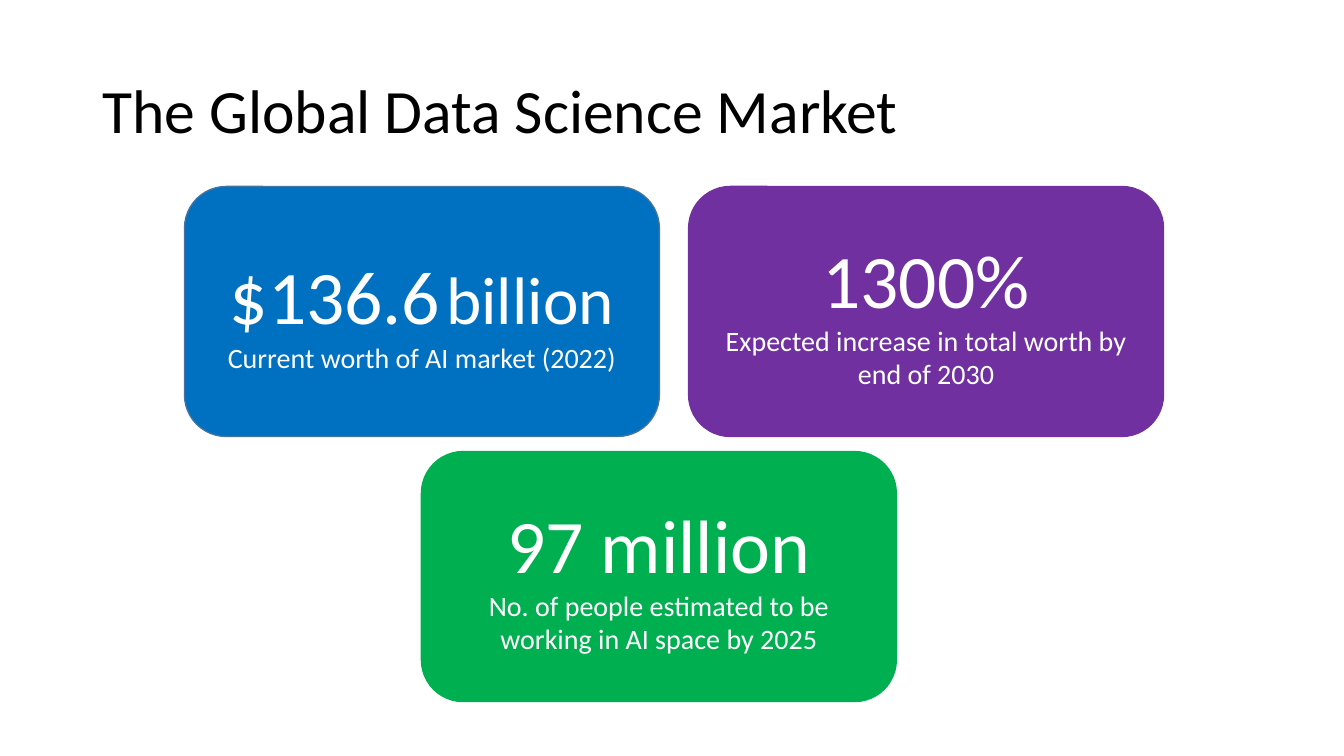
"""Build the slide on the global data science market with three figure cards."""
from dataclasses import dataclass

import pptx
import pptx.dml.color
import pptx.enum.shapes
import pptx.enum.text
import pptx.shapes.autoshape
import pptx.slide
import pptx.text.text
import pptx.util

Inches = pptx.util.Inches
RGBColor = pptx.dml.color.RGBColor

BLACK = RGBColor(0x00, 0x00, 0x00)
WHITE = RGBColor(0xFF, 0xFF, 0xFF)
BLUE = RGBColor(0x00, 0x70, 0xC0)
STEEL_BLUE = RGBColor(0x43, 0x73, 0x9E)
PURPLE = RGBColor(0x70, 0x30, 0xA0)
GREEN = RGBColor(0x00, 0xB0, 0x50)

FONT = "Calibri"
CARD_WIDTH, CARD_HEIGHT = 4.71, 2.48
TOP_ROW, BOTTOM_ROW = 1.85, 4.48
FIGURE_SIZE, CAPTION_SIZE = 54, 20


@dataclass(frozen=True)
class TextRun:
    text: str
    size: int


@dataclass(frozen=True)
class Card:
    left: float
    top: float
    fill: RGBColor
    outline: RGBColor
    figure: tuple[TextRun, ...]
    caption: str


CARDS = (
    Card(1.83, TOP_ROW, BLUE, STEEL_BLUE,
         (TextRun("$136.6", FIGURE_SIZE), TextRun(" ", 18), TextRun("billion", 48)),
         "Current worth of AI market (2022)"),
    Card(6.83, TOP_ROW, PURPLE, PURPLE,
         (TextRun("1300%", FIGURE_SIZE),),
         "Expected increase in total worth by end of 2030"),
    Card(4.18, BOTTOM_ROW, GREEN, GREEN,
         (TextRun("97 million", FIGURE_SIZE),),
         "No. of people estimated to be working in AI space by 2025"),
)


def add_runs(paragraph: pptx.text.text._Paragraph, runs: tuple[TextRun, ...],
             color: RGBColor) -> None:
    for text_run in runs:
        run = paragraph.add_run()
        run.text = text_run.text
        run.font.name = FONT
        run.font.size = pptx.util.Pt(text_run.size)
        run.font.color.rgb = color


def prepare_frame(shape: pptx.shapes.autoshape.Shape) -> pptx.text.text.TextFrame:
    frame = shape.text_frame
    frame.word_wrap = True
    frame.vertical_anchor = pptx.enum.text.MSO_ANCHOR.MIDDLE
    return frame


def add_title(slide: pptx.slide.Slide, title: str) -> None:
    shape = slide.shapes.add_textbox(Inches(0.92), Inches(0.4), Inches(11.5), Inches(1.45))
    paragraph = prepare_frame(shape).paragraphs[0]
    paragraph.line_spacing = 0.9
    add_runs(paragraph, (TextRun(title, 44),), BLACK)


def add_card(slide: pptx.slide.Slide, card: Card) -> None:
    shape = slide.shapes.add_shape(
        pptx.enum.shapes.MSO_SHAPE.ROUNDED_RECTANGLE,
        Inches(card.left), Inches(card.top), Inches(CARD_WIDTH), Inches(CARD_HEIGHT))
    shape.shadow.inherit = False
    shape.fill.solid()
    shape.fill.fore_color.rgb = card.fill
    shape.line.color.rgb = card.outline
    shape.line.width = pptx.util.Pt(1)
    frame = prepare_frame(shape)
    caption = (TextRun(card.caption, CAPTION_SIZE),)
    for paragraph, runs in ((frame.paragraphs[0], card.figure),
                            (frame.add_paragraph(), caption)):
        paragraph.alignment = pptx.enum.text.PP_ALIGN.CENTER
        add_runs(paragraph, runs, WHITE)


def main() -> None:
    presentation = pptx.Presentation()
    presentation.slide_width = Inches(13.33)
    presentation.slide_height = Inches(7.5)
    slide = presentation.slides.add_slide(presentation.slide_layouts[6])
    add_title(slide, "The Global Data Science Market")
    for card in CARDS:
        add_card(slide, card)
    presentation.save("out.pptx")


if __name__ == "__main__":
    main()
